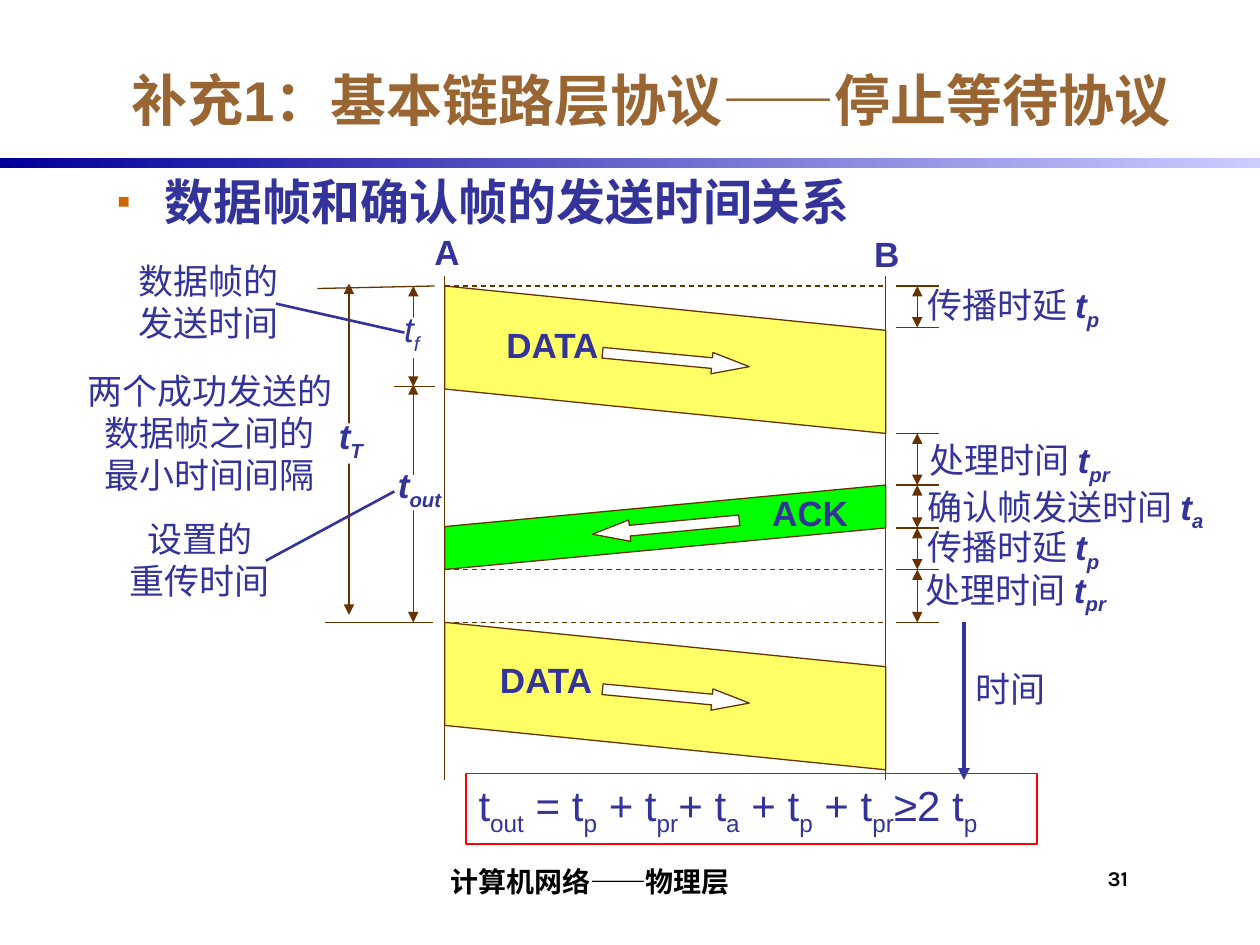
import pptx
import pptx.dml.color
import pptx.enum.dml
import pptx.enum.shapes
import pptx.enum.text
import pptx.oxml.ns
import pptx.util
from lxml import etree

Inches = pptx.util.Inches
Pt = pptx.util.Pt
RGBColor = pptx.dml.color.RGBColor
Shape = pptx.enum.shapes.MSO_SHAPE
Align = pptx.enum.text.PP_ALIGN
Anchor = pptx.enum.text.MSO_ANCHOR
qn = pptx.oxml.ns.qn

INDIGO = RGBColor(0x33, 0x33, 0x99)
BROWN = RGBColor(0x66, 0x33, 0x00)
TAN = RGBColor(0x99, 0x66, 0x33)
YELLOW = RGBColor(0xFF, 0xFF, 0x66)
GREEN = RGBColor(0x00, 0xFF, 0x00)
WHITE = RGBColor(0xFF, 0xFF, 0xFF)
BLACK = RGBColor(0x00, 0x00, 0x00)
RED = RGBColor(0xFF, 0x00, 0x00)
NAVY = RGBColor(0x00, 0x00, 0x99)
PALE = RGBColor(0xCC, 0xCC, 0xFF)


def mark(para, char, hue, scale, indent):
    props = para._p.get_or_add_pPr()
    props.set("marL", str(Inches(indent)))
    props.set("indent", str(-Inches(indent)))
    tint = etree.SubElement(props, qn("a:buClr"))
    etree.SubElement(tint, qn("a:srgbClr"), val=hue)
    etree.SubElement(props, qn("a:buSzPct"), val=str(scale * 1000))
    etree.SubElement(props, qn("a:buFont"), typeface="Arial")
    etree.SubElement(props, qn("a:buChar"), char=char)


def text(shapes, box, lines, size=20, color=INDIGO, font="Arial", style="",
         align=None, anchor=Anchor.TOP, wrap=False, bullet=False,
         edge=None, inset=(0.1, 0.05, 0.1, 0.05)):
    item = shapes.add_textbox(*map(Inches, box))
    if edge:
        item.line.color.rgb = edge
        item.line.width = Pt(1)
    frame = item.text_frame
    frame.word_wrap = wrap
    if not wrap:
        frame.auto_size = pptx.enum.text.MSO_AUTO_SIZE.SHAPE_TO_FIT_TEXT
    frame.vertical_anchor = anchor
    (frame.margin_left, frame.margin_top,
     frame.margin_right, frame.margin_bottom) = map(Inches, inset)
    for row, line in enumerate(lines):
        para = frame.add_paragraph() if row else frame.paragraphs[0]
        if bullet:
            mark(para, "▪", "CC6600", 80, 0.38)
        para.alignment = align
        for words, look in [(line, style)] if isinstance(line, str) else line:
            run = para.add_run()
            run.text = words
            run.font.size = Pt(size)
            run.font.name = font
            run.font.color.rgb = color
            run.font.bold = "b" in look
            run.font.italic = "i" in look
            if "s" in look:
                run._r.get_or_add_rPr().set("baseline", "-25000")


def term(sub, look="bi"):
    return [("t", look), (sub, look + "s")]


def shape(shapes, kind, box, fill=WHITE, edge=BROWN, turn=0, flip="", adjust=()):
    item = shapes.add_shape(kind, *map(Inches, box))
    item.shadow.inherit = False
    item.fill.solid()
    item.fill.fore_color.rgb = fill
    if edge:
        item.line.color.rgb = edge
        item.line.width = Pt(0.75)
    else:
        item.line.fill.background()
    item.rotation = turn
    for axis in flip:
        item._element.spPr.xfrm.set("flip" + axis, "1")
    for place, value in enumerate(adjust):
        item.adjustments[place] = value
    return item


def line(shapes, x1, y1, x2, y2, color=BROWN, width=0.75, dash=False, heads=()):
    item = shapes.add_connector(pptx.enum.shapes.MSO_CONNECTOR.STRAIGHT,
                                *map(Inches, (x1, y1, x2, y2)))
    item.line.color.rgb = color
    item.line.width = Pt(width)
    if dash:
        item.line.dash_style = pptx.enum.dml.MSO_LINE.DASH
    props = item._element.spPr
    for end in heads:
        etree.SubElement(props.find(qn("a:ln")), qn("a:" + end), type="triangle")
    etree.SubElement(props, qn("a:effectLst"))


def span(shapes, x, top, base):
    line(shapes, x, top, x, base, heads=("headEnd", "tailEnd"))


def header(shapes, x, y, width):
    bar = shape(shapes, Shape.RECTANGLE, (x, y + 1.25, width, 0.08), edge=None)
    bar.fill.gradient()
    bar.fill.gradient_angle = 180
    for stop, color, place in zip(bar.fill.gradient_stops, (PALE, NAVY), (0, 1)):
        stop.color.rgb = color
        stop.position = place
    text(shapes, (x + 0.92, y + 0.33, 8.5, 0.92), ["补充1：基本链路层协议——停止等待协议"],
         size=32, color=TAN, style="b", align=Align.CENTER,
         anchor=Anchor.MIDDLE, wrap=True)
    text(shapes, (x + 0.83, y + 1.31, 8.5, 5), ["数据帧和确认帧的发送时间关系"],
         size=28, style="b", wrap=True, bullet=True)


def band(shapes, x, y, width, height, fill, turn, flip, slant):
    shift = (width - height) / 2
    shape(shapes, Shape.PARALLELOGRAM, (x + shift, y - shift, height, width),
          fill, turn=turn, flip=flip, adjust=(slant,))


def channel(shapes, x, y, width, height):
    for top in (0.08, 2.75):
        band(shapes, x, y + top, width, 1.17, YELLOW, 270, "HV", 0.301)
        shape(shapes, Shape.RIGHT_ARROW, (x + 1.25, y + top + 0.5, 1.17, 0.17),
              turn=5.4, adjust=(0.5, 1.752))
    band(shapes, x, y + 1.66, width, 0.67, GREEN, 90, "V", 0.492)
    shape(shapes, Shape.RIGHT_ARROW, (x + 1.17, y + 1.91, 1.17, 0.17),
          turn=354.6, flip="H", adjust=(0.5, 1.747))
    for side in (x, x + width):
        line(shapes, side, y, side, y + height)
    for level in (0.08, 2.33, 2.75):
        line(shapes, x, y + level, x + width, y + level, dash=True)
    for words, left, top, wide in (("A", -0.18, -0.41, 0.4), ("B", 3.31, -0.39, 0.4),
                                   ("DATA", 0.39, 0.33, 0.97),
                                   ("DATA", 0.34, 2.99, 0.97),
                                   ("ACK", 2.5, 1.66, 0.8)):
        text(shapes, (x + left, y + top, wide, 0.44), [words], style="b")


def delays(shapes, x, y):
    levels = (0, 0.33, 1.17, 1.58, 1.92, 2.25, 2.67)
    for level in levels:
        line(shapes, x + 0.08, y + level, x + 0.42, y + level)
    for top, base in [levels[:2], *zip(levels[2:], levels[3:])]:
        span(shapes, x + 0.25, y + top, y + base)
    for words, sub, left, top, wide in (("传播时延 ", "p", 0.23, -0.07, 1.66),
                                        ("处理时间 ", "pr", 0.25, 1.16, 1.74),
                                        ("确认帧发送时间 ", "a", 0.23, 1.53, 2.49),
                                        ("传播时延 ", "p", 0.23, 1.85, 1.66),
                                        ("处理时间 ", "pr", 0.22, 2.19, 1.74)):
        text(shapes, (x + left, y + top, wide, 0.48), [[(words, ""), *term(sub)]])
    line(shapes, x + 0.62, y + 2.67, x + 0.62, y + 3.92, INDIGO, 2.25,
         heads=("tailEnd",))
    text(shapes, (x + 0.61, y + 2.98, 0.79, 0.44), ["时间"])


def timing(shapes, x, y):
    for x1, y1, x2, y2 in ((2.02, 0.29, 2.95, 0.27), (2.63, 1.07, 2.95, 1.07),
                           (2.08, 2.94, 2.94, 2.94)):
        line(shapes, x + x1, y + y1, x + x2, y + y2)
    span(shapes, x + 2.78, y + 0.27, y + 1.07)
    span(shapes, x + 2.78, y + 1.05, y + 2.94)
    total = shapes.add_group_shape().shapes
    span(total, x + 2.27, y + 0.25, y + 2.88)
    for where, patch, spot, sub, look in (
            (total, (2.1, 1.36, 0.29, 0.32), (2.09, 1.24, 0.41), "T", "bi"),
            (shapes, (2.61, 0.52, 0.23, 0.32), (2.61, 0.39, 0.34), "f", "i"),
            (shapes, (2.61, 1.77, 0.33, 0.28), (2.56, 1.63, 0.59), "out", "bi")):
        left, top, *size = patch
        shape(where, Shape.RECTANGLE, (x + left, y + top, *size), edge=None)
        left, top, wide = spot
        text(where, (x + left, y + top, wide, 0.48), [term(sub, look)])
    for left, top, wide, high, lines, align in (
            (0.5, 0.01, 1.33, 0.77, ["数据帧的", "发送时间"], Align.LEFT),
            (0.08, 0.88, 2.17, 1.1, ["两个成功发送的", "数据帧之间的", "最小时间间隔"],
             Align.CENTER),
            (0.42, 2.06, 1.33, 0.77, ["设置的", "重传时间"], Align.CENTER)):
        text(shapes, (x + left, y + top, wide, high), lines, align=align)
    line(shapes, x + 1.69, y + 0.41, x + 2.71, y + 0.64, INDIGO, 1.5)
    line(shapes, x + 1.61, y + 2.45, x + 2.63, y + 1.9, INDIGO, 1.5)


def footer(shapes, x, y):
    parts = "t|out| = t|p| + t|pr|+ t|a| + t|p| + t|pr|≥2 t|p".split("|")
    runs = [(part, "s" if place % 2 else "") for place, part in enumerate(parts)]
    text(shapes, (x + 3.7, y, 4.53, 0.56), [runs], size=24, wrap=True, edge=RED)
    text(shapes, (x + 2.08, y + 0.61, 5.17, 0.42), ["计算机网络——物理层"], size=16,
         color=BLACK, font="Karla", style="b", align=Align.CENTER,
         anchor=Anchor.BOTTOM, wrap=True, inset=(0.04, 0, 0, 0.04))
    text(shapes, (x + 8.75, y + 0.69, 0.58, 0.42), ["31"], size=12, color=BLACK,
         font="Karla", style="b", wrap=True, inset=(0.04, 0.04, 0, 0))


def main():
    deck = pptx.Presentation()
    deck.slide_width = Inches(10)
    deck.slide_height = Inches(7.5)
    shapes = deck.slides.add_slide(deck.slide_layouts[6]).shapes
    header(shapes, 0, 0, 10)
    channel(shapes, 3.53, 2.19, 3.5, 4)
    delays(shapes, 7.03, 2.27)
    timing(shapes, 0.5, 2)
    footer(shapes, 0, 6.14)
    deck.save("out.pptx")


if __name__ == "__main__":
    main()
